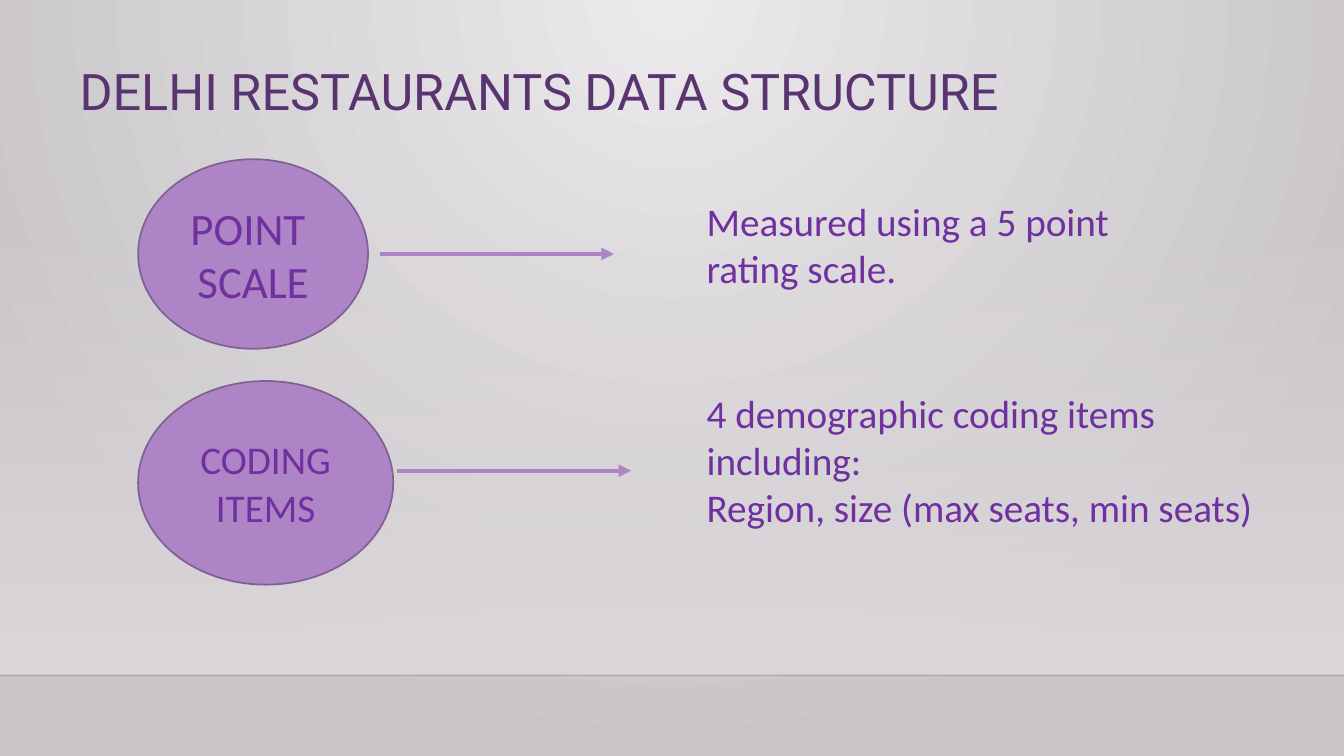
import pptx
import pptx.dml.color
import pptx.enum.shapes
import pptx.enum.text
import pptx.oxml
import pptx.oxml.ns
import pptx.util

WIDTH, HEIGHT = 13.33, 7.5
FLOOR = 6.7  # height of the floor line
LEFT, TEXT_LEFT = 1.37, 6.91  # columns of the ellipses and descriptions
COLORS = {
    "glow": "EBE9EB", "edge": "C8C4C8", "haze": "DCD8DC", "floor": "000001",
    "title": "5A3471", "text": "7030A0", "lilac": "AD84C6", "outline": "806292",
}
TITLE_FORMAT = {"name": "Roboto", "size": pptx.util.Pt(36)}
TEXT_FORMAT = {"name": "Calibri", "size": pptx.util.Pt(28)}
LARGE_FORMAT = {"name": "Calibri", "size": pptx.util.Pt(32)}


def inches(*lengths):
    return [pptx.util.Inches(length) for length in lengths]


def rgb(name):
    return pptx.dml.color.RGBColor.from_string(COLORS[name])


def xml(tag, content="", attributes=""):
    namespace = pptx.oxml.ns.nsdecls("a")
    return pptx.oxml.parse_xml(f"<a:{tag} {namespace} {attributes}>{content}</a:{tag}>")


def set_gradient(solid_fill, stops, direction):
    """Replace a solid fill by a gradient of (color name, opacity) stops."""
    content = "".join(
        f'<a:gs pos="{position}"><a:srgbClr val="{COLORS[name]}">'
        f'<a:alpha val="{opacity * 1000}"/></a:srgbClr></a:gs>'
        for position, (name, opacity) in zip((0, 100000), stops))
    gradient = xml("gradFill", f"<a:gsLst>{content}</a:gsLst>{direction}", 'rotWithShape="1"')
    solid_fill.getparent().replace(solid_fill, gradient)


def write_text(shape, lines, font_format, color, alignment=None):
    frame = shape.text_frame
    frame.word_wrap = True
    frame.text = "\n".join(lines)
    for paragraph in frame.paragraphs:
        paragraph.alignment = alignment
        font = paragraph.runs[0].font
        font.color.rgb = rgb(color)
        for key, value in font_format.items():
            setattr(font, key, value)


def add_text(slide, box, lines, font_format, color):
    shape = slide.shapes.add_textbox(*inches(*box))
    write_text(shape, lines, font_format, color)


def add_line(slide, start, end, color, width):
    line = slide.shapes.add_connector(
        pptx.enum.shapes.MSO_CONNECTOR.STRAIGHT, *inches(*start, *end))
    line.line.color.rgb = rgb(color)
    line.line.width = pptx.util.Pt(width)
    line.element.spPr.append(xml("effectLst"))
    return line


def add_background(slide):
    # Radial glow from the top centre
    slide.background.fill.solid()
    set_gradient(
        slide.element.xpath(".//p:bgPr/a:solidFill")[0], [("glow", 100), ("edge", 100)],
        '<a:path path="circle"><a:fillToRect l="43000" t="0" r="43000" b="100000"/></a:path>')

    # Haze that thickens down to the floor
    haze = slide.shapes.add_shape(
        pptx.enum.shapes.MSO_SHAPE.RECTANGLE, *inches(0, 2.21, WIDTH, FLOOR - 2.21))
    haze.shadow.inherit = False
    haze.line.fill.background()
    haze.fill.solid()
    set_gradient(haze.element.spPr.xpath("./a:solidFill")[0], [("haze", 0), ("haze", 100)],
                 '<a:lin ang="5400000" scaled="0"/>')

    # Floor line
    line = add_line(slide, (0, FLOOR), (WIDTH, FLOOR), "floor", 1)
    line.element.spPr.xpath("./a:ln//a:srgbClr")[0].append(xml("alpha", "", 'val="20000"'))


def add_item(slide, box, label, label_format, arrow_start, text_box, text):
    # Labelled ellipse
    ellipse = slide.shapes.add_shape(pptx.enum.shapes.MSO_SHAPE.OVAL, *inches(*box))
    ellipse.shadow.inherit = False
    ellipse.fill.solid()
    ellipse.fill.fore_color.rgb = rgb("lilac")
    ellipse.line.color.rgb = rgb("outline")
    ellipse.line.width = pptx.util.Pt(1.25)
    ellipse.text_frame.vertical_anchor = pptx.enum.text.MSO_ANCHOR.MIDDLE
    write_text(ellipse, label, label_format, "text", pptx.enum.text.PP_ALIGN.CENTER)

    # Arrow towards the description
    x, y = arrow_start
    arrow = add_line(slide, arrow_start, (x + 2.32, y), "lilac", 3)
    arrow.element.spPr.xpath("./a:ln")[0].append(xml("tailEnd", "", 'type="triangle"'))

    # Description
    add_text(slide, text_box, text, TEXT_FORMAT, "text")


def main():
    presentation = pptx.Presentation()
    presentation.slide_width, presentation.slide_height = inches(WIDTH, HEIGHT)
    slide = presentation.slides.add_slide(presentation.slide_layouts[6])

    add_background(slide)
    add_text(slide, (0.69, 0.55, 10.38, 0.71), ["DELHI RESTAURANTS DATA STRUCTURE"],
             TITLE_FORMAT, "title")
    add_item(slide, (LEFT, 1.58, 2.28, 1.88), ["POINT ", "SCALE"], LARGE_FORMAT,
             (3.77, 2.52), (TEXT_LEFT, 1.91, 5.1, 1.04),
             ["Measured using a 5 point rating scale."])
    add_item(slide, (LEFT, 3.78, 2.53, 2.02), ["CODING", "ITEMS"], TEXT_FORMAT,
             (3.94, 4.67), (TEXT_LEFT, 3.81, 5.81, 1.99),
             ["4 demographic coding items including:", "Region, size (max seats, min seats)"])

    presentation.save("out.pptx")


if __name__ == "__main__":
    main()
